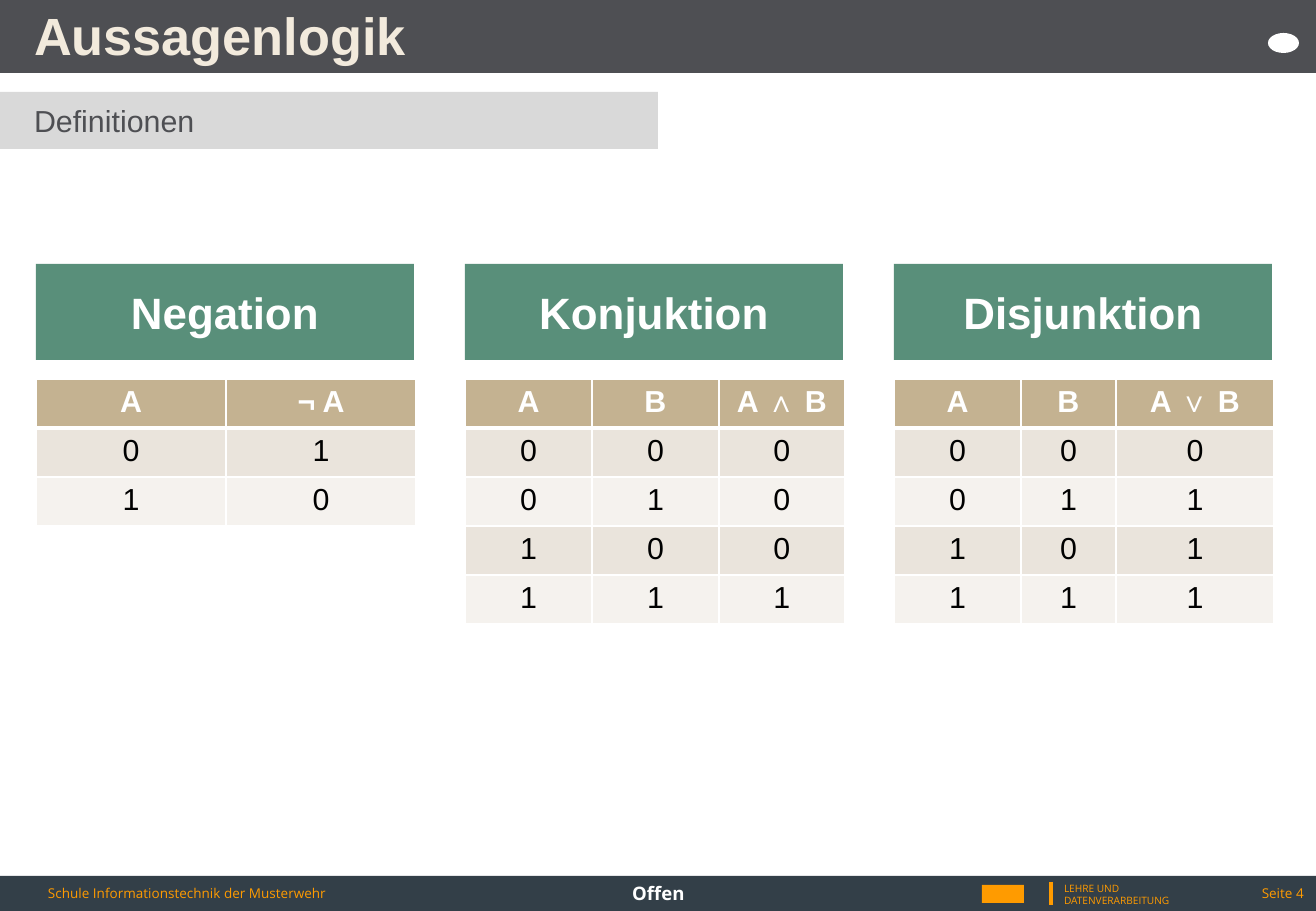
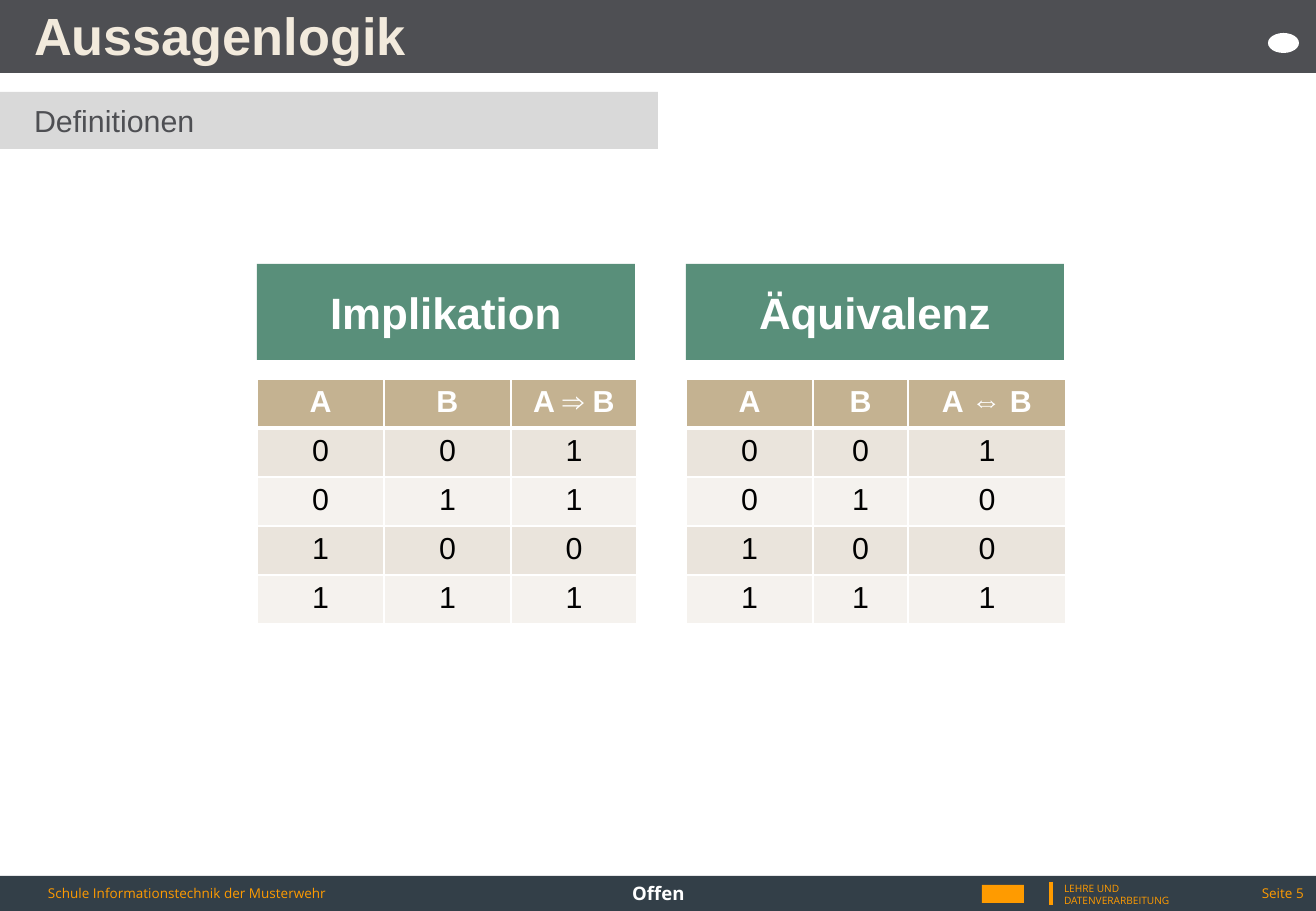
from dataclasses import dataclass
from itertools import product
from typing import Any, Callable

from lxml import etree
from pptx import Presentation
from pptx import util as u
from pptx.dml import color
from pptx.enum import shapes, text
from pptx.oxml import ns

EMU_PER_INCH = 914400
PX_PER_INCH = 121.5
SLIDE_WIDTH, SLIDE_HEIGHT = 1316, 911
BANNER_TOP, BANNER_WIDTH, BANNER_HEIGHT = 264, 378, 96
TABLE_TOP, ROW_HEIGHT = 379, 49
COLUMN_PITCH = 429
INSET = (12, 6, 12, 6)
HEADING_INSET = (34, 6, 12, 6)
BANNER_INSET = (34, 10, 34, 10)


@dataclass(frozen=True)
class Theme:
    heading_font: str = "Arial"
    footer_font: str = "Open Sans"
    white: str = "FFFFFF"
    black: str = "000000"
    title_band: str = "4E4F53"
    footer_band: str = "333F48"
    title_text: str = "F2EADC"
    subtitle_band: str = "D9D9D9"
    accent: str = "FF9B00"
    banner: str = "598F7A"
    table_head: str = "C4B291"
    table_bands: tuple[str, str] = ("EAE4DC", "F5F2EE")
    title_size: int = 31
    banner_size: int = 26
    body_size: int = 18
    marking_size: int = 11
    footer_size: int = 8
    caption_size: int = 6
    border: int = 1
    head_border: int = 3


THEME = Theme()


@dataclass(frozen=True)
class Box:
    left: int
    top: int
    width: int
    height: int

    def emu(self) -> tuple[int, int, int, int]:
        return px(self.left), px(self.top), px(self.width), px(self.height)


@dataclass(frozen=True)
class Band:
    box: Box
    fill: str
    kind: Any = shapes.MSO_SHAPE.RECTANGLE


@dataclass(frozen=True)
class Label:
    words: str
    box: Box
    style: dict[str, Any]


@dataclass(frozen=True)
class TruthTable:
    name: str
    header: tuple[str, ...]
    widths: tuple[int, ...]
    rule: Callable[..., bool]

    def rows(self) -> list[tuple[str, ...]]:
        inputs = product((0, 1), repeat=len(self.header) - 1)
        return [tuple(str(int(v)) for v in (*values, self.rule(*values))) for values in inputs]


@dataclass(frozen=True)
class Page:
    number: int
    left: int
    tables: tuple[TruthTable, ...]


BANDS = (
    Band(Box(0, 0, SLIDE_WIDTH, 73), THEME.title_band),
    Band(Box(0, 876, SLIDE_WIDTH, 35), THEME.footer_band),
    Band(Box(982, 885, 42, 18), THEME.accent),
    Band(Box(1268, 33, 31, 20), THEME.white, shapes.MSO_SHAPE.OVAL),
)

FOOTER_STYLE = dict(font=THEME.footer_font, ink=THEME.accent)
SMALL_STYLE = dict(FOOTER_STYLE, size=THEME.footer_size, anchor=text.MSO_ANCHOR.MIDDLE)

LABELS = (
    Label("LEHRE UND\nDATENVERARBEITUNG", Box(1052, 876, 156, 36),
          dict(FOOTER_STYLE, size=THEME.caption_size)),
    Label("Schule Informationstechnik der Musterwehr", Box(36, 845, 497, 96), SMALL_STYLE),
    Label("Offen", Box(450, 876, 417, 49),
          dict(font=THEME.footer_font, ink=THEME.white, size=THEME.marking_size, bold=True,
               align=text.PP_ALIGN.CENTER)),
)

HALVES = (190, 190)
THIRDS = (127, 127, 126)
WIDE_RESULT = (127, 95, 158)

PAGES = (
    Page(4, 36, (
        TruthTable("Negation", ("A", "¬ A"), HALVES, lambda a: not a),
        TruthTable("Konjuktion", ("A", "B", "A ∧ B"), THIRDS, lambda a, b: a and b),
        TruthTable("Disjunktion", ("A", "B", "A ∨ B"), WIDE_RESULT, lambda a, b: a or b),
    )),
    Page(5, 257, (
        TruthTable("Implikation", ("A", "B", "A ⇒ B"), THIRDS, lambda a, b: not a or b),
        TruthTable("Äquivalenz", ("A", "B", "A ⇔ B"), WIDE_RESULT, lambda a, b: a == b),
    )),
)


def px(length: int) -> int:
    return round(length * EMU_PER_INCH / PX_PER_INCH)


def rgb(value: str) -> color.RGBColor:
    return color.RGBColor.from_string(value)


def write(frame: Any, words: str, *, size: int, ink: str, font: str = THEME.heading_font,
          bold: bool = False, align: Any = text.PP_ALIGN.LEFT,
          anchor: Any = text.MSO_ANCHOR.TOP, inset: tuple[int, ...] = INSET) -> None:
    frame.word_wrap = True
    frame.auto_size = text.MSO_AUTO_SIZE.NONE
    frame.vertical_anchor = anchor
    frame.margin_left, frame.margin_top, frame.margin_right, frame.margin_bottom = map(px, inset)
    fill_paragraphs(frame, words, size, ink, font, bold, align)


def fill_paragraphs(frame: Any, words: str, size: int, ink: str, font: str,
                    bold: bool, align: Any) -> None:
    for index, line in enumerate(words.split("\n")):
        para = frame.add_paragraph() if index else frame.paragraphs[0]
        para.alignment = align
        para.space_before = u.Pt(0)
        span = para.add_run()
        span.text = line
        span.font.name = font
        span.font.size = u.Pt(size)
        span.font.bold = bold
        span.font.color.rgb = rgb(ink)


def add_band(page: Any, band: Band) -> Any:
    shape = page.shapes.add_shape(band.kind, *band.box.emu())
    shape.shadow.inherit = False
    shape.fill.solid()
    shape.fill.fore_color.rgb = rgb(band.fill)
    shape.line.fill.background()
    return shape


def add_label(page: Any, label: Label) -> Any:
    shape = page.shapes.add_textbox(*label.box.emu())
    write(shape.text_frame, label.words, **label.style)
    return shape


def add_divider(page: Any) -> Any:
    line = page.shapes.add_connector(shapes.MSO_CONNECTOR.STRAIGHT,
                                     px(1051), px(882), px(1051), px(905))
    line.line.color.rgb = rgb(THEME.accent)
    line.line.width = u.Pt(2)
    etree.SubElement(line.element.spPr, ns.qn("a:effectLst"))
    return line


def prepare_layout(layout: Any) -> None:
    places = {0: Box(0, 6, 1265, 57), 1: Box(0, 92, 658, 57)}
    for holder in list(layout.placeholders):
        box = places.get(holder.placeholder_format.idx)
        if box is None:
            holder.element.getparent().remove(holder.element)
        else:
            holder.left, holder.top, holder.width, holder.height = box.emu()


def share_frame(layout: Any, page: Any) -> None:
    parts = [add_band(page, band) for band in BANDS]
    parts += [add_label(page, label) for label in LABELS]
    parts.append(add_divider(page))
    for part in parts:
        layout.placeholders[0].element.addprevious(part.element)


def add_headings(page: Any) -> None:
    title, subtitle = page.placeholders
    middle = dict(anchor=text.MSO_ANCHOR.MIDDLE, inset=HEADING_INSET)
    write(title.text_frame, "Aussagenlogik", size=THEME.title_size, ink=THEME.title_text,
          bold=True, **middle)
    write(subtitle.text_frame, "Definitionen", size=THEME.body_size, ink=THEME.title_band, **middle)
    subtitle.fill.solid()
    subtitle.fill.fore_color.rgb = rgb(THEME.subtitle_band)
    properties = subtitle.text_frame.paragraphs[0]._p.get_or_add_pPr()
    properties.set("marL", "0")
    properties.set("indent", "0")
    etree.SubElement(properties, ns.qn("a:buNone"))


def set_borders(cell: Any, row: int) -> None:
    properties = cell._tc.get_or_add_tcPr()
    heavy = {(0, "lnB"), (1, "lnT")}
    for side in ("lnL", "lnR", "lnT", "lnB"):
        points = THEME.head_border if (row, side) in heavy else THEME.border
        line = etree.SubElement(properties, ns.qn(f"a:{side}"), w=str(u.Pt(points)))
        fill = etree.SubElement(line, ns.qn("a:solidFill"))
        etree.SubElement(fill, ns.qn("a:srgbClr"), val=THEME.white)


def add_truth_table(page: Any, left: int, content: TruthTable) -> None:
    lines = [content.header, *content.rows()]
    box = Box(left, TABLE_TOP, sum(content.widths), ROW_HEIGHT * len(lines))
    table = page.shapes.add_table(len(lines), len(content.header), *box.emu()).table
    for column, width in zip(table.columns, content.widths):
        column.width = px(width)
    for row, line in enumerate(lines):
        head = row == 0
        for column, words in enumerate(line):
            cell = table.cell(row, column)
            set_borders(cell, row)
            cell.fill.solid()
            cell.fill.fore_color.rgb = rgb(
                THEME.table_head if head else THEME.table_bands[(row - 1) % 2])
            fill_paragraphs(cell.text_frame, words, THEME.body_size,
                            THEME.white if head else THEME.black,
                            THEME.heading_font, head, text.PP_ALIGN.CENTER)


def add_definition(page: Any, left: int, content: TruthTable) -> None:
    add_truth_table(page, left, content)
    box = Box(left, BANNER_TOP, BANNER_WIDTH, BANNER_HEIGHT)
    banner = add_band(page, Band(box, THEME.banner))
    write(banner.text_frame, content.name, size=THEME.banner_size, ink=THEME.white, bold=True,
          align=text.PP_ALIGN.CENTER, anchor=text.MSO_ANCHOR.MIDDLE, inset=BANNER_INSET)


def main() -> None:
    deck = Presentation()
    deck.slide_width, deck.slide_height = px(SLIDE_WIDTH), px(SLIDE_HEIGHT)
    layout = deck.slide_layouts[1]
    prepare_layout(layout)
    for index, content in enumerate(PAGES):
        page = deck.slides.add_slide(layout)
        if index == 0:
            share_frame(layout, page)
        add_headings(page)
        add_label(page, Label(f"Seite {content.number}", Box(1011, 876, 305, 35),
                              dict(SMALL_STYLE, align=text.PP_ALIGN.RIGHT)))
        for place, table in enumerate(content.tables):
            add_definition(page, content.left + place * COLUMN_PITCH, table)
    deck.save("out.pptx")


if __name__ == "__main__":
    main()
